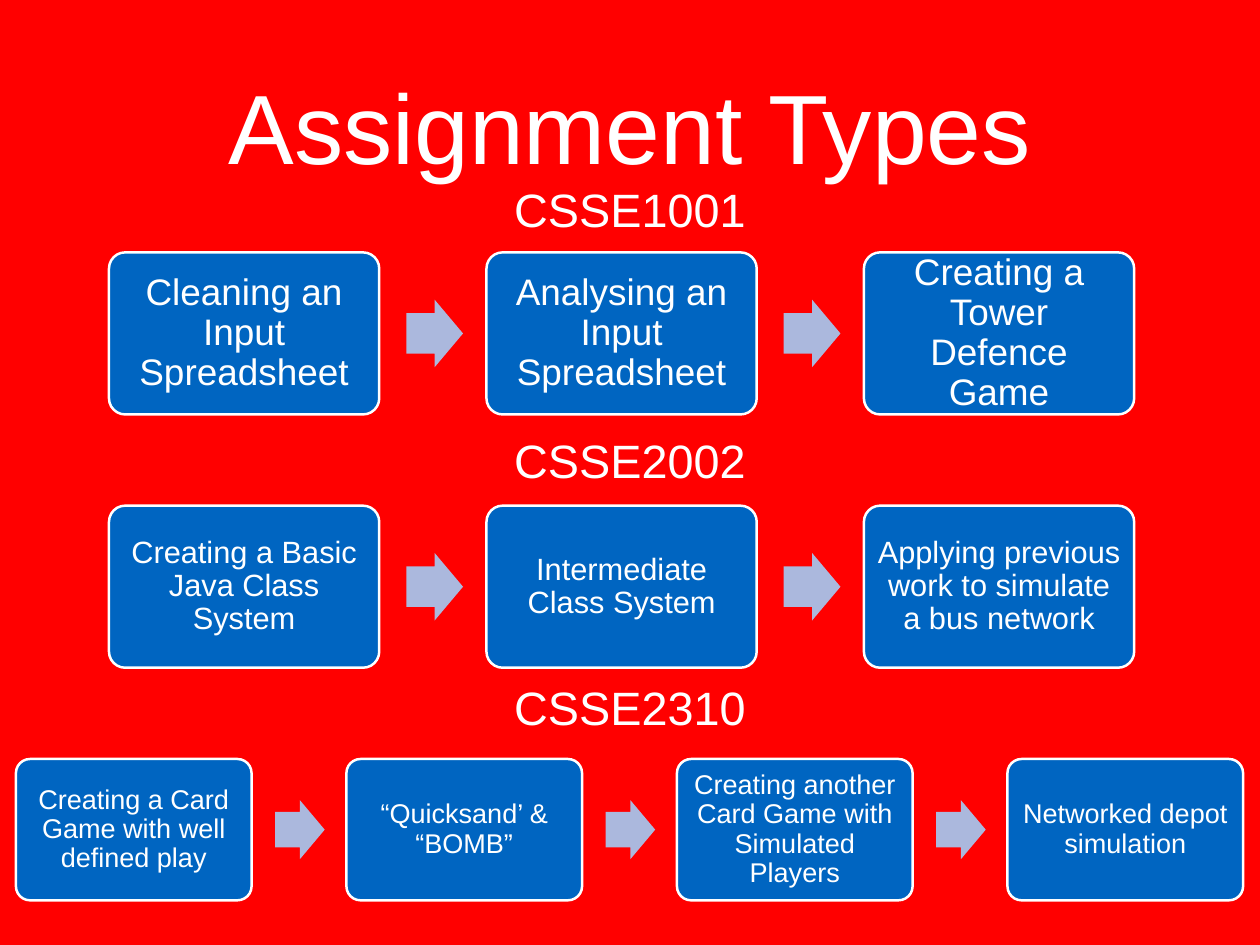
"""Build the Assignment Types slide: one row of steps for each course."""
from dataclasses import dataclass

from pptx import Presentation
from pptx.dml.color import RGBColor
from pptx.enum.shapes import MSO_SHAPE
from pptx.enum.text import MSO_ANCHOR, MSO_AUTO_SIZE, PP_ALIGN
from pptx.util import Inches, Pt


@dataclass(frozen=True)
class Theme:
    font: str = "Arial"
    background: RGBColor = RGBColor(0xFF, 0x00, 0x00)
    box: RGBColor = RGBColor(0x00, 0x65, 0xC1)
    arrow: RGBColor = RGBColor(0xAB, 0xB8, 0xDD)
    text: RGBColor = RGBColor(0xFF, 0xFF, 0xFF)
    title_size: int = 80
    course_size: int = 38
    step_sizes: tuple = (30, 25, 22)


def write(s, text, size, inset, spacing=1.0):
    tf = s.text_frame
    tf.word_wrap = True
    tf.auto_size = MSO_AUTO_SIZE.NONE
    tf.vertical_anchor = MSO_ANCHOR.MIDDLE
    tf.margin_left = tf.margin_right = Inches(inset)
    tf.margin_top = tf.margin_bottom = Inches(inset)
    p = tf.paragraphs[0]
    p.alignment = PP_ALIGN.CENTER
    p.line_spacing = spacing
    r = p.add_run()
    r.text = text
    r.font.name = theme.font
    r.font.size = Pt(size)
    r.font.color.rgb = theme.text


def add_block(group, kind, left, top, width, height, color):
    s = group.shapes.add_shape(kind, Inches(left), Inches(top), Inches(width), Inches(height))
    s.shadow.inherit = False
    s.fill.solid()
    s.fill.fore_color.rgb = color
    s.line.fill.background()
    return s


theme = Theme()
SLIDE_W, SLIDE_H = 14.22, 10.67

prs = Presentation()
prs.slide_width, prs.slide_height = Inches(SLIDE_W), Inches(SLIDE_H)
slide = prs.slides.add_slide(prs.slide_layouts[5])
slide.background.fill.solid()
slide.background.fill.fore_color.rgb = theme.background

title = slide.shapes.title
title.left, title.top = Inches(1.04), Inches(0.25)
title.width, title.height = Inches(12.14), Inches(2.32)
write(title, "Assignment Types", theme.title_size, 0.06)

# course, label top, label width, row left, row top, box width, pitch, inset, steps
courses = [
    ("CSSE1001", 1.98, 4.31, 1.23, 2.85, 3.05, 4.26, 0.12,
     ["Cleaning an Input Spreadsheet", "Analysing an Input Spreadsheet",
      "Creating a Tower Defence Game"]),
    ("CSSE2002", 4.82, 3.94, 1.23, 5.71, 3.05, 4.26, 0.1,
     ["Creating a Basic Java Class System", "Intermediate Class System",
      "Applying previous work to simulate a bus network"]),
    ("CSSE2310", 7.61, 3.94, 0.18, 8.57, 2.66, 3.73, 0.09,
     ["Creating a Card Game with well defined play", "“Quicksand’ & “BOMB”",
      "Creating another Card Game with Simulated Players", "Networked depot simulation"]),
]

for size, course in zip(theme.step_sizes, courses):
    name, label_top, label_w, row_left, row_top, box_w, pitch, inset, steps = course
    box_h = 0.6 * box_w
    arrow_w, arrow_h = 0.21 * box_w, 0.25 * box_w
    arrow_top = row_top + (box_h - arrow_h) / 2
    group = slide.shapes.add_group_shape()
    for i, step in enumerate(steps):
        left = row_left + i * pitch
        box = add_block(group, MSO_SHAPE.ROUNDED_RECTANGLE, left, row_top, box_w, box_h, theme.box)
        box.adjustments[0] = 0.1
        box.line.color.rgb = theme.text
        box.line.width = Pt(2)
        write(box, step, size, inset, 0.9)
        if i < len(steps) - 1:
            arrow = add_block(group, MSO_SHAPE.RIGHT_ARROW, left + 1.1 * box_w, arrow_top,
                              arrow_w, arrow_h, theme.arrow)
            arrow.adjustments[0] = 0.6
            arrow.adjustments[1] = 0.5
    label = slide.shapes.add_textbox(Inches((SLIDE_W - label_w) / 2), Inches(label_top),
                                     Inches(label_w), Inches(0.75))
    write(label, name, theme.course_size, 0.06)

prs.save("out.pptx")
